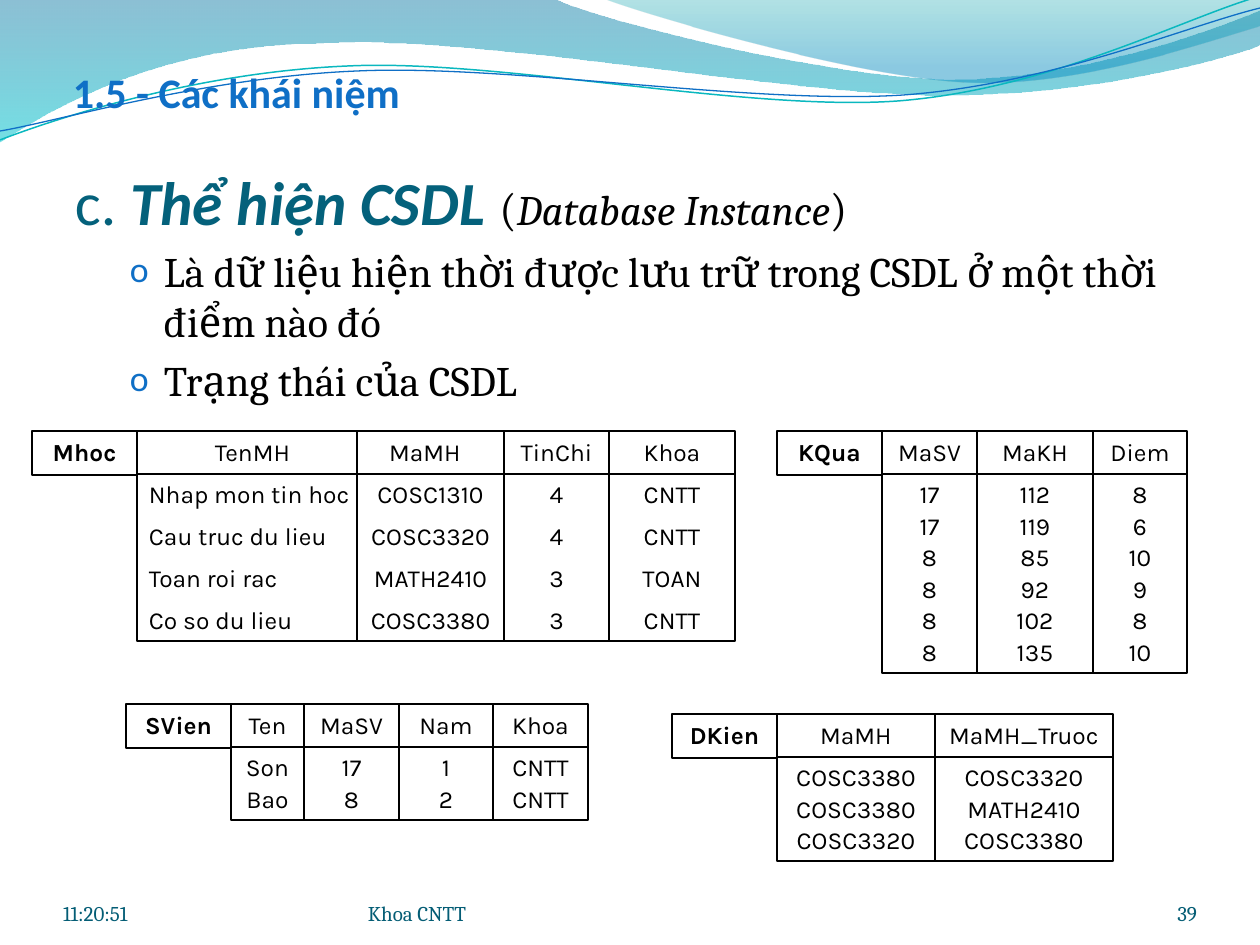
from itertools import accumulate
from math import cos, radians, sin
from lxml.etree import SubElement
from pptx import Presentation
from pptx.dml.color import RGBColor
from pptx.enum.shapes import MSO_CONNECTOR as CONNECTOR, MSO_SHAPE as SHAPE
from pptx.enum.text import MSO_ANCHOR as ANCHOR, PP_ALIGN as ALIGN
from pptx.oxml.ns import qn
from pptx.util import Pt

PX = 914400 / 126
COLORS = {
    "ink": "000000", "accent": "0F6FC6", "heading": "04617B", "footer": "045D75",
    "aqua": "0AB8BF", "deep": "0074A1", "cyan": "00C6CF", "teal": "00A1A9", "blue": "008BBF",
}
NAME_WIDTH = 105
ROW_HEIGHT = 42
RULE_OFFSET = 43
TILT = 2.7

FILLED_WAVES = [
    ([(0, -1), (554, -1), (600, 21, 837, 79, 955, 79), (1074, 79, 1207, 33, 1260, 11),
      (1261, 45), (1239, 55, 1096, 96, 940, 95), (784, 95, 481, 35, 324, 43),
      (163, 44, 58, 105, -1, 142)],
     [(0, "deep", 45), (1, "cyan", 55)]),
    ([(604, -1), (641, 14, 859, 78, 969, 82), (1079, 87, 1211, 40, 1260, 26), (1260, 0)],
     [(0, "teal", 30), (0.8, "blue", 45)]),
]
LINE_WAVES = [
    ([(0, 140), (60, 117, 199, 72, 349, 66), (498, 59, 747, 112, 898, 101),
      (1050, 89, 1182, 19, 1257, -3)], (629, 72), "aqua", 0.85),
    ([(0, 131), (59, 121, 207, 77, 357, 71), (508, 64, 752, 105, 903, 95),
      (1053, 84, 1186, 26, 1260, 8)], (629, 74), "accent", 0.75),
]

RELATIONS = [
    {"origin": (126, 704), "height": 116, "columns": [73, 95, 94, 95],
     "header": ["SVien", "Ten", "MaSV", "Nam", "Khoa"],
     "records": [["Son", "17", "1", "CNTT"], ["Bao", "8", "2", "CNTT"]]},
    {"origin": (32, 431), "height": 210, "columns": [220, 147, 105, 126],
     "header_widths": [231, 136, 105, 126], "record_widths": [242, 147, 105, 126],
     "first_align": ALIGN.LEFT,
     "header": ["Mhoc", "TenMH", "MaMH", "TinChi", "Khoa"],
     "records": [["Nhap mon tin hoc", "COSC1310", "4", "CNTT"],
                 ["Cau truc du lieu", "COSC3320", "4", "CNTT"],
                 ["Toan roi rac", "MATH2410", "3", "TOAN"],
                 ["Co so du lieu", "COSC3380", "3", "CNTT"]]},
    {"origin": (672, 714), "height": 147, "columns": [158, 178],
     "header": ["DKien", "MaMH", "MaMH_Truoc"],
     "records": [["COSC3380", "COSC3320"], ["COSC3380", "MATH2410"],
                 ["COSC3320", "COSC3380"]]},
    {"origin": (777, 431), "height": 242, "columns": [95, 116, 94],
     "header": ["KQua", "MaSV", "MaKH", "Diem"],
     "records": [["17", "112", "8"], ["17", "119", "6"], ["8", "85", "10"],
                 ["8", "92", "9"], ["8", "102", "8"], ["8", "135", "10"]]},
]


def px(length):
    return round(length * PX)


def rgb(name):
    return RGBColor.from_string(COLORS[name])


def add_run(paragraph, text, color, **formats):
    run = paragraph.add_run()
    run.text = text
    run.font.color.rgb = rgb(color)
    for attribute, value in formats.items():
        setattr(run.font, attribute, value)


def set_frame(frame, insets, anchor):
    settings = {"word_wrap": True, "vertical_anchor": anchor}
    settings |= {f"margin_{side}": px(inset)
                 for side, inset in zip(("left", "top", "right", "bottom"), insets)}
    for attribute, value in settings.items():
        setattr(frame, attribute, value)
    return frame


def add_frame(shapes, box, insets, anchor):
    return set_frame(shapes.add_textbox(*map(px, box)).text_frame, insets, anchor)


def rotate(point, centre, degrees):
    angle = radians(degrees)
    turned = []
    for x, y in zip(point[::2], point[1::2]):
        dx, dy = x - centre[0], y - centre[1]
        turned += [centre[0] + dx * cos(angle) - dy * sin(angle),
                   centre[1] + dx * sin(angle) + dy * cos(angle)]
    return tuple(turned)


def add_wave(shapes, points, closed):
    start, *ends = [tuple(map(px, point[-2:])) for point in points]
    builder = shapes.build_freeform(*start, scale=1.0)
    builder.add_line_segments(ends, close=closed)
    wave = builder.convert_to_shape()
    wave.shadow.inherit = False
    segments = list(wave._element.iter(qn("a:lnTo")))
    for segment, point in zip(segments, points[1:]):
        if len(point) == 6:
            segment.tag = qn("a:cubicBezTo")
            for child in list(segment):
                segment.remove(child)
            for x, y in zip(point[::2], point[1::2]):
                SubElement(segment, qn("a:pt"), x=str(px(x) - wave.left),
                           y=str(px(y) - wave.top))
    return wave


def add_banner(slide):
    for points, stops in FILLED_WAVES:
        wave = add_wave(slide.shapes, points, True)
        wave.line.fill.background()
        wave.fill.gradient()
        wave.fill.gradient_angle = 270
        for stop, (position, color, _) in zip(wave.fill.gradient_stops, stops):
            stop.position = position
            stop.color.rgb = rgb(color)
        tints = wave._element.spPr.iter(qn("a:srgbClr"))
        for tint, (_, _, opacity) in zip(tints, stops):
            SubElement(tint, qn("a:alpha"), val=str(opacity * 1000))
    strands = slide.shapes.add_group_shape().shapes
    for points, centre, color, width in LINE_WAVES:
        level = [rotate(point, centre, TILT) for point in points]
        wave = add_wave(strands, level, False)
        wave.rotation = 360 - TILT
        wave.fill.background()
        wave.line.color.rgb = rgb(color)
        wave.line.width = Pt(width)


def add_label(slide, box, text, color, align=ALIGN.LEFT, top=0, **formats):
    paragraph = add_frame(slide.shapes, box, (0, top, 0, 0), ANCHOR.BOTTOM).paragraphs[0]
    paragraph.alignment = align
    add_run(paragraph, text, color, **formats)


def indent(paragraph, margin, hanging):
    properties = paragraph._p.get_or_add_pPr()
    properties.set("marL", str(px(margin)))
    properties.set("indent", str(-px(hanging)))
    return properties


def add_definition(slide, box):
    frame = add_frame(slide.shapes, box, (12, 6, 12, 6), ANCHOR.TOP)
    term = frame.paragraphs[0]
    indent(term, 38, 38)
    for text, color, name, size, bold, italic in [
        ("c. ", "heading", "Calibri", 35, False, False),
        ("Thể hiện CSDL ", "heading", "Calibri", 35, True, True),
        ("(", "ink", "Cambria", 26, False, False),
        ("Database Instance", "ink", "Cambria", 24, False, True),
        (")", "ink", "Cambria", 26, False, False),
    ]:
        add_run(term, text, color, name=name, size=Pt(size), bold=bold, italic=italic)
    for text in ("Là dữ liệu hiện thời được lưu trữ trong CSDL ở một thời điểm nào đó",
                 "Trạng thái của CSDL"):
        point = frame.add_paragraph()
        point.level = 1
        point.space_before = px(8)
        properties = indent(point, 89, 34)
        bullet_color = SubElement(properties, qn("a:buClr"))
        SubElement(bullet_color, qn("a:srgbClr"), val=COLORS["accent"])
        SubElement(properties, qn("a:buSzPct"), val="85000")
        SubElement(properties, qn("a:buFont"), typeface="Calibri")
        SubElement(properties, qn("a:buChar"), char="o")
        add_run(point, text, "ink", name="Cambria", size=Pt(24))


def add_outline(shapes, box):
    outline = shapes.add_shape(SHAPE.RECTANGLE, *map(px, box))
    outline.shadow.inherit = False
    outline.fill.background()
    outline.line.color.rgb = rgb("ink")
    outline.line.width = Pt(1)
    return outline


def add_rule(shapes, *ends):
    rule = shapes.add_connector(CONNECTOR.STRAIGHT, *map(px, ends))
    rule.line.color.rgb = rgb("ink")
    rule.line.width = Pt(1)
    SubElement(rule._element.spPr, qn("a:effectLst"))


def write_value(frame, text, align=ALIGN.CENTER, bold=False):
    paragraph = frame.paragraphs[0]
    paragraph.alignment = align
    add_run(paragraph, text, "ink", name="Karla", size=Pt(14), bold=bold)


def add_relation(slide, origin, height, columns, header, records, header_widths=None,
                 record_widths=None, first_align=ALIGN.CENTER):
    shapes = slide.shapes.add_group_shape().shapes
    left, top = origin
    edges = list(accumulate(columns, initial=left + NAME_WIDTH))
    add_outline(shapes, (edges[0], top, sum(columns), height))
    name = add_outline(shapes, (left, top, NAME_WIDTH, 44))
    write_value(set_frame(name.text_frame, (12, 6, 12, 6), ANCHOR.TOP), header[0], bold=True)
    add_rule(shapes, edges[0], top + RULE_OFFSET, edges[-1], top + RULE_OFFSET)
    for edge in edges[1:-1]:
        add_rule(shapes, edge, top, edge, top + height)
    step = (height - 2 * ROW_HEIGHT) / (len(records) - 1)
    rows = [(top, header[1:], header_widths)]
    rows += [(top + ROW_HEIGHT + i * step, record, record_widths)
             for i, record in enumerate(records)]
    for row, (y, values, widths) in enumerate(rows):
        for column, (x, width, value) in enumerate(zip(edges, widths or columns, values)):
            frame = add_frame(shapes, (x, y, width, ROW_HEIGHT), (12, 6, 12, 6), ANCHOR.TOP)
            align = first_align if row and column == 0 else ALIGN.CENTER
            write_value(frame, value, align)


def add_footer(slide, top, height):
    for left, width, text, align in [(1092, 105, "39", ALIGN.RIGHT),
                                     (368, 462, "Khoa CNTT", ALIGN.LEFT),
                                     (63, 294, "11:20:51", ALIGN.LEFT)]:
        add_label(slide, (left, top, width, height), text, "footer", align,
                  name="Cambria", size=Pt(12))


def main():
    deck = Presentation()
    deck.slide_width, deck.slide_height = px(1260), px(945)
    slide = deck.slides.add_slide(deck.slide_layouts[6])
    add_banner(slide)
    add_definition(slide, (63, 158, 1134, 724))
    for relation in RELATIONS:
        add_relation(slide, **relation)
    add_footer(slide, 876, 50)
    add_label(slide, (73, 32, 1134, 85), "1.5 - Các khái niệm", "accent", top=6,
              name="Calibri", size=Pt(24), bold=True)
    deck.save("out.pptx")


if __name__ == "__main__":
    main()
